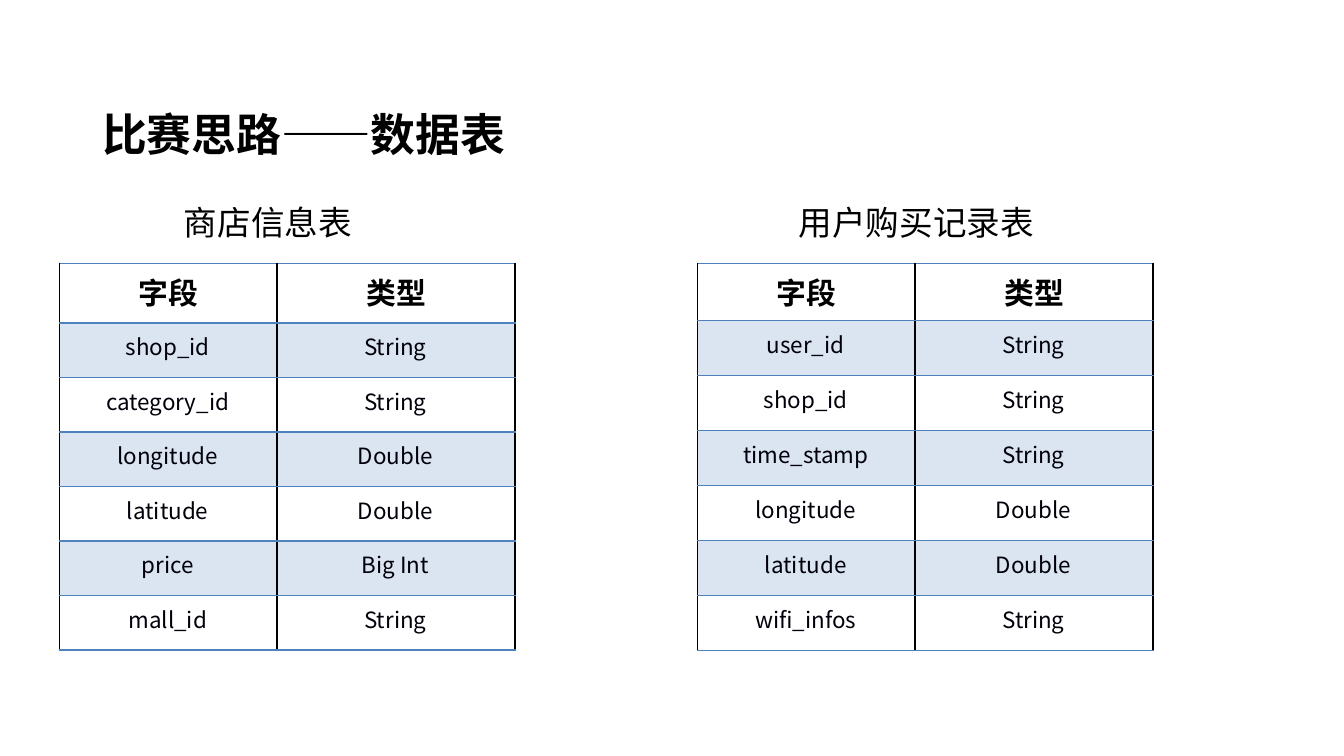
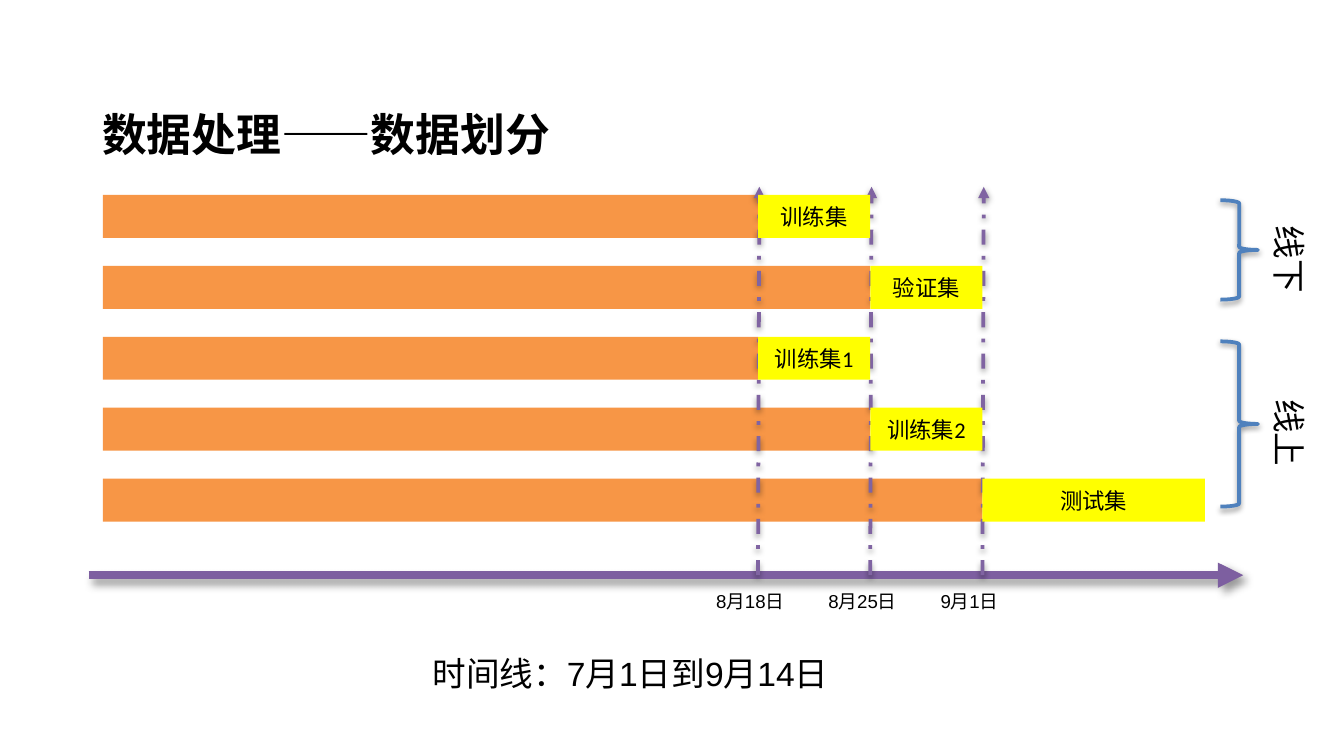
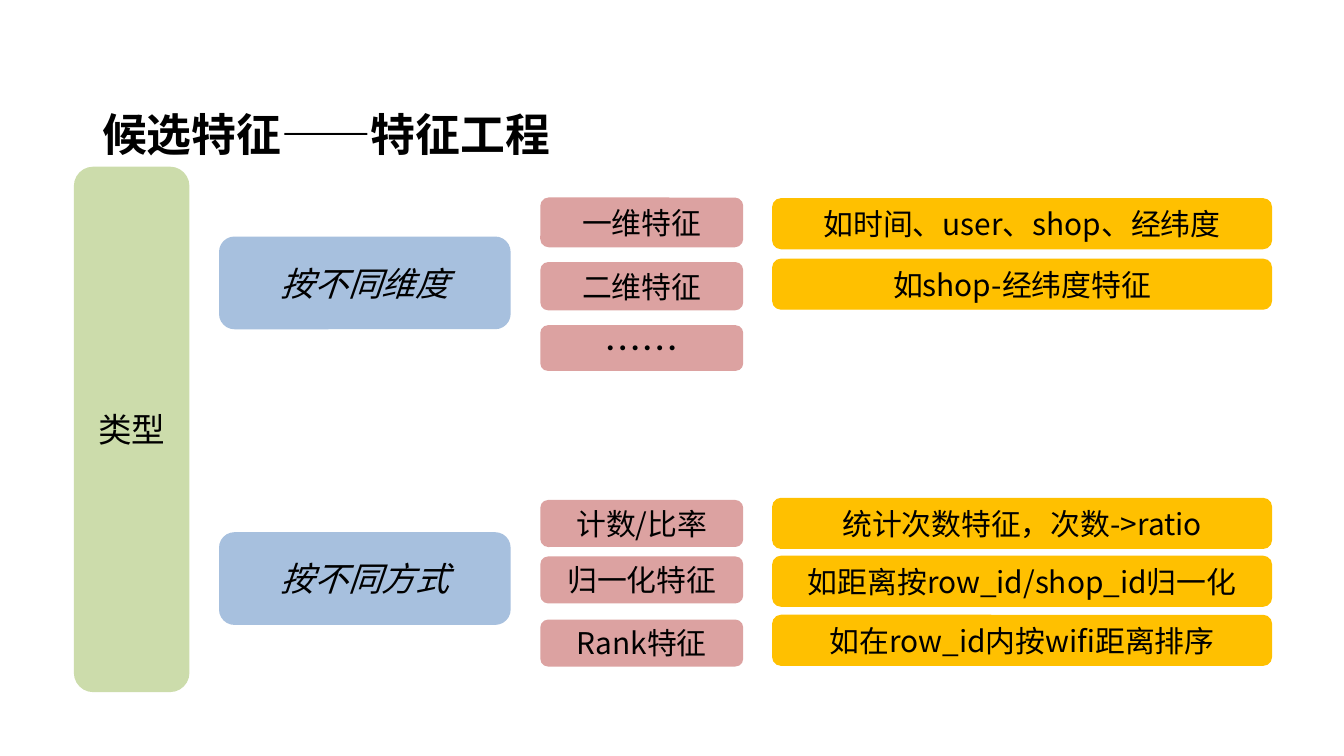
"""Three slides on a shop-location contest: data tables, data split, features."""
from dataclasses import dataclass
from typing import NamedTuple, Optional

from lxml import etree
from pptx import Presentation
from pptx import util as u
from pptx.dml.color import RGBColor
from pptx.enum import dml, shapes, text
from pptx.oxml.ns import qn

# The grid: 100 columns across the slide, square cells.
COLUMNS, ROWS = 100, 56.25
CELL = u.Inches(0.1)

CJK = "Noto Sans CJK SC"
BLACK, INK = "000000", "00000A"
BLUE, PURPLE, AXIS_PURPLE = "4F81BD", "8064A2", "7D5FA0"
ORANGE, YELLOW = "F79646", "FFFF00"
GREEN, PALE_BLUE, PINK, GOLD = "9BBB59", "A7C0DE", "DCA2A1", "FFC000"


class Box(NamedTuple):
    """Left, top, width and height in grid cells."""
    column: float
    row: float
    columns: float
    rows: float

    def lengths(self) -> list[int]:
        """Return the four lengths in EMU."""
        return [grid(value) for value in self]


class Style(NamedTuple):
    """Look of a run of text."""
    size: float
    font: str = CJK
    color: str = BLACK
    bold: bool = False
    italic: bool = False


class Shadow(NamedTuple):
    """Outer shadow: opacity in percent, lengths in points, angle in degrees."""
    opacity: int
    blur: float
    distance: float
    angle: int


@dataclass
class FieldTable:
    """A captioned table of fields and their types."""
    caption: str
    caption_column: float
    column: float
    header_rows: float
    fields: list[tuple[str, str]]


@dataclass
class Bar:
    """A history bar that ends at a date, followed by a labelled set."""
    label: str
    date: int


@dataclass
class Feature:
    """A feature kind with an optional explanation beside it."""
    name: str
    row: float
    rows: float
    detail: str = ""
    detail_row: float = 0
    size: float = 16


@dataclass
class Group:
    """A way of sorting features."""
    name: str
    row: float
    features: list[Feature]


TITLE = Style(24, bold=True)
CAPTION = Style(18, "Calibri")
HEADER = Style(16, bold=True)
FIELD = Style(12, color=INK)
SOFT_SHADOW = Shadow(38, 3.1, 1.6, 90)
AXIS_SHADOW = Shadow(40, 4, 3, 45)


def grid(value: float) -> int:
    """Turn grid cells into EMU."""
    return int(round(value * CELL))


def rgb(color: str) -> RGBColor:
    """Turn a hex string into a colour."""
    return RGBColor.from_string(color)


def paint(fill, color: str, opacity: int = 100) -> None:
    """Give a fill one colour, see-through if asked."""
    fill.solid()
    fill.fore_color.rgb = rgb(color)
    if opacity < 100:
        # Only the fill's own colour, not that of borders beside it.
        node = fill._xPr.find(f"{qn('a:solidFill')}/{qn('a:srgbClr')}")
        etree.SubElement(node, qn("a:alpha"), val=str(opacity * 1000))


def write(frame, words: str, style: Style, align=text.PP_ALIGN.LEFT,
          anchor=text.MSO_ANCHOR.TOP) -> None:
    """Write one run into a text frame."""
    frame.word_wrap = True
    frame.vertical_anchor = anchor
    paragraph = frame.paragraphs[0]
    paragraph.alignment = align
    run = paragraph.add_run()
    run.text = words
    run.font.size = u.Pt(style.size)
    run.font.name = style.font
    run.font.bold = style.bold
    run.font.italic = style.italic
    run.font.color.rgb = rgb(style.color)
    etree.SubElement(run.font._element, qn("a:ea"), typeface=CJK)


def cast_shadow(shape, shadow: Optional[Shadow] = None) -> None:
    """Replace the theme's shadow by the given one, or by none."""
    properties = shape._element.spPr
    effects = etree.SubElement(properties, qn("a:effectLst"))
    if shadow:
        outer = etree.SubElement(
            effects, qn("a:outerShdw"), blurRad=str(u.Pt(shadow.blur)),
            dist=str(u.Pt(shadow.distance)), dir=str(shadow.angle * 60000),
            rotWithShape="0")
        color = etree.SubElement(outer, qn("a:srgbClr"), val=BLACK)
        etree.SubElement(color, qn("a:alpha"), val=str(shadow.opacity * 1000))


def add_titled_slide(presentation, title: str, columns: float = 72.6):
    """Add a slide with the shared title style."""
    slide = presentation.slides.add_slide(presentation.slide_layouts[5])
    shape = slide.shapes.title
    shape.left, shape.top, shape.width, shape.height = Box(6.6, 7.4, columns, 5).lengths()
    shape.text_frame.auto_size = text.MSO_AUTO_SIZE.NONE
    write(shape.text_frame, title, TITLE)
    return slide


def add_label(slide, box: Box, words: str, style: Style, vertical: bool = False) -> None:
    """Add a plain text box, optionally turned to run downwards."""
    shape = slide.shapes.add_textbox(*box.lengths())
    frame = shape.text_frame
    write(frame, words, style)
    if vertical:
        shape._element.txBody.bodyPr.set("vert", "vert")
        frame.margin_left = frame.margin_right = u.Inches(0.05)
        frame.margin_top = frame.margin_bottom = u.Inches(0.1)


def add_block(slide, box: Box, color: str, words: str = "",
              style: Style = FIELD, rounded: bool = False,
              opacity: int = 100, outlined: bool = False) -> None:
    """Add a filled block with centred text."""
    kind = shapes.MSO_SHAPE.ROUNDED_RECTANGLE if rounded else shapes.MSO_SHAPE.RECTANGLE
    shape = slide.shapes.add_shape(kind, *box.lengths())
    shape.shadow.inherit = False
    paint(shape.fill, color, opacity)
    if outlined:
        shape.line.color.rgb = rgb(color)
        shape.line.width = u.Pt(0.75)
    else:
        shape.line.fill.background()
    if words:
        write(shape.text_frame, words, style, text.PP_ALIGN.CENTER,
              text.MSO_ANCHOR.MIDDLE)


def add_arrow(slide, start: tuple[float, float], end: tuple[float, float],
              color: str, width: float, shadow: Shadow, dashed: bool = False) -> None:
    """Add a straight arrow with a shadow."""
    arrow = slide.shapes.add_connector(
        shapes.MSO_CONNECTOR.STRAIGHT, *[grid(value) for value in start + end])
    arrow.line.color.rgb = rgb(color)
    arrow.line.width = u.Pt(width)
    if dashed:
        arrow.line.dash_style = dml.MSO_LINE.DASH_DOT
    etree.SubElement(arrow.line._get_or_add_ln(), qn("a:tailEnd"), type="triangle")
    cast_shadow(arrow, shadow)


def add_brace(slide, box: Box) -> None:
    """Add a right brace."""
    brace = slide.shapes.add_shape(shapes.MSO_SHAPE.RIGHT_BRACE, *box.lengths())
    brace.fill.background()
    brace.line.color.rgb = rgb(BLUE)
    brace.line.width = u.Pt(2)
    cast_shadow(brace, SOFT_SHADOW)


def style_cell(cell, is_header: bool, banded: bool) -> None:
    """Set a cell's borders, margins and fill."""
    properties = cell._tc.get_or_add_tcPr()
    for side, color in zip("LRTB", (BLACK, BLACK, BLUE, BLUE)):
        line = etree.SubElement(properties, qn(f"a:ln{side}"), w=str(u.Pt(0.96)))
        fill = etree.SubElement(line, qn("a:solidFill"))
        etree.SubElement(fill, qn("a:srgbClr"), val=color)
    cell.margin_left = u.Inches(0.12 if is_header else 0.03)
    cell.margin_right = u.Inches(0.12 if is_header else 0.04)
    cell.margin_top = cell.margin_bottom = u.Inches(0.05)
    if banded:
        paint(cell.fill, BLUE, 20)
    else:
        cell.fill.background()


def write_cell(cell, words: str, style: Style) -> None:
    """Write centred text at the top of a table cell."""
    write(cell.text_frame, words, style, text.PP_ALIGN.CENTER)
    cell.vertical_anchor = text.MSO_ANCHOR.TOP


def add_field_table(slide, content: FieldTable) -> None:
    """Add a caption and its table, every second row tinted."""
    add_label(slide, Box(content.caption_column, 14.55, 20.8, 4), content.caption, CAPTION)
    records = [("字段", "类型")] + content.fields
    box = Box(content.column, 19.6, 33.9, 28.8)
    field_rows = (box.rows - content.header_rows) / len(content.fields)
    table = slide.shapes.add_table(len(records), 2, *box.lengths()).table
    table.first_row = table.horz_banding = False
    for column, width in zip(table.columns, (16.2, 17.7)):
        column.width = grid(width)
    for index, record in enumerate(records):
        is_header = index == 0
        table.rows[index].height = grid(content.header_rows if is_header else field_rows)
        for position, words in enumerate(record):
            cell = table.cell(index, position)
            style_cell(cell, is_header, index % 2 == 1)
            write_cell(cell, words, HEADER if is_header else FIELD)


def build_tables(presentation) -> None:
    """Slide 1: the two data tables."""
    slide = add_titled_slide(presentation, "比赛思路——数据表", 42.5)
    add_field_table(slide, FieldTable("商店信息表", 12.7, 4.43, 4.45, [
        ("shop_id", "String"), ("category_id", "String"), ("longitude", "Double"),
        ("latitude", "Double"), ("price", "Big Int"), ("mall_id", "String")]))
    add_field_table(slide, FieldTable("用户购买记录表", 58.45, 51.9, 4.25, [
        ("user_id", "String"), ("shop_id", "String"), ("time_stamp", "String"),
        ("longitude", "Double"), ("latitude", "Double"), ("wifi_infos", "String")]))


def build_timeline(presentation) -> None:
    """Slide 2: how the data is split over time."""
    slide = add_titled_slide(presentation, "数据处理——数据划分")
    left, top, pitch, thickness = 7.65, 14.5, 5.28, 3.2
    axis_row, end = 42.8, 89.65
    dates = ["8月18日", "8月25日", "9月1日"]
    marks = [56.4 + 8.35 * index for index in range(len(dates))]
    stops = marks + [end]
    bars = [Bar("训练集", 0), Bar("验证集", 1), Bar("训练集1", 0),
            Bar("训练集2", 1), Bar("测试集", 2)]

    add_arrow(slide, (6.6, axis_row), (92.5, axis_row), AXIS_PURPLE, 4.5, AXIS_SHADOW)
    add_label(slide, Box(31.2, 48.1, 36.8, 4), "时间线：7月1日到9月14日", Style(18, "Arial"))
    for index, bar in enumerate(bars):
        add_block(slide, Box(left, top + pitch * index, marks[bar.date] - left, thickness),
                  ORANGE)
    for date, mark in zip(dates, marks):
        add_arrow(slide, (mark, axis_row), (mark + 0.1, 13.9), PURPLE, 2,
                  SOFT_SHADOW, dashed=True)
        add_label(slide, Box(mark - 4.1, 43.4, 8.3, 2.7), date, Style(10, "Arial"))
    for index, bar in enumerate(bars):
        start = stops[bar.date]
        add_block(slide, Box(start, top + pitch * index, stops[bar.date + 1] - start, thickness),
                  YELLOW, bar.label, Style(12, "Calibri"))
    for words, row, rows, label_row in (("线下", 14.9, 7.4, 15.8), ("线上", 25.4, 12.3, 28.7)):
        add_brace(slide, Box(90.8, row, 2.8, rows))
        add_label(slide, Box(93, label_row, 5, 7.4), words, CAPTION, vertical=True)


def build_features(presentation) -> None:
    """Slide 3: the tree of candidate features."""
    slide = add_titled_slide(presentation, "候选特征——特征工程")
    groups = [
        Group("按不同维度", 17.6, [
            Feature("一维特征", 14.7, 3.7, "如时间、user、shop、经纬度", 14.8),
            Feature("二维特征", 19.5, 3.6, "如shop-经纬度特征", 19.3),
            Feature("……", 24.2, 3.4, size=20)]),
        Group("按不同方式", 39.6, [
            Feature("计数/比率", 37.2, 3.5, "统计次数特征，次数->ratio", 37.1),
            Feature("归一化特征", 41.4, 3.5, "如距离按row_id/shop_id归一化", 41.4),
            Feature("Rank特征", 46.1, 3.5, "如在row_id内按wifi距离排序", 45.8)]),
    ]
    add_block(slide, Box(5.5, 12.4, 8.6, 39.1), GREEN, "类型", Style(18),
              rounded=True, opacity=50)
    for group in groups:
        add_block(slide, Box(16.3, group.row, 21.7, 6.9), PALE_BLUE, group.name,
                  Style(18, italic=True), rounded=True)
        for feature in group.features:
            add_block(slide, Box(40.2, feature.row, 15.1, feature.rows), PINK,
                      feature.name, Style(feature.size), rounded=True)
            if feature.detail:
                add_block(slide, Box(57.5, feature.detail_row, 37.1, 3.7), GOLD,
                          feature.detail, Style(16), rounded=True, outlined=True)


def main() -> None:
    """Build and save the slides."""
    presentation = Presentation()
    presentation.slide_width, presentation.slide_height = grid(COLUMNS), grid(ROWS)
    build_tables(presentation)
    build_timeline(presentation)
    build_features(presentation)
    presentation.save("out.pptx")


main()
